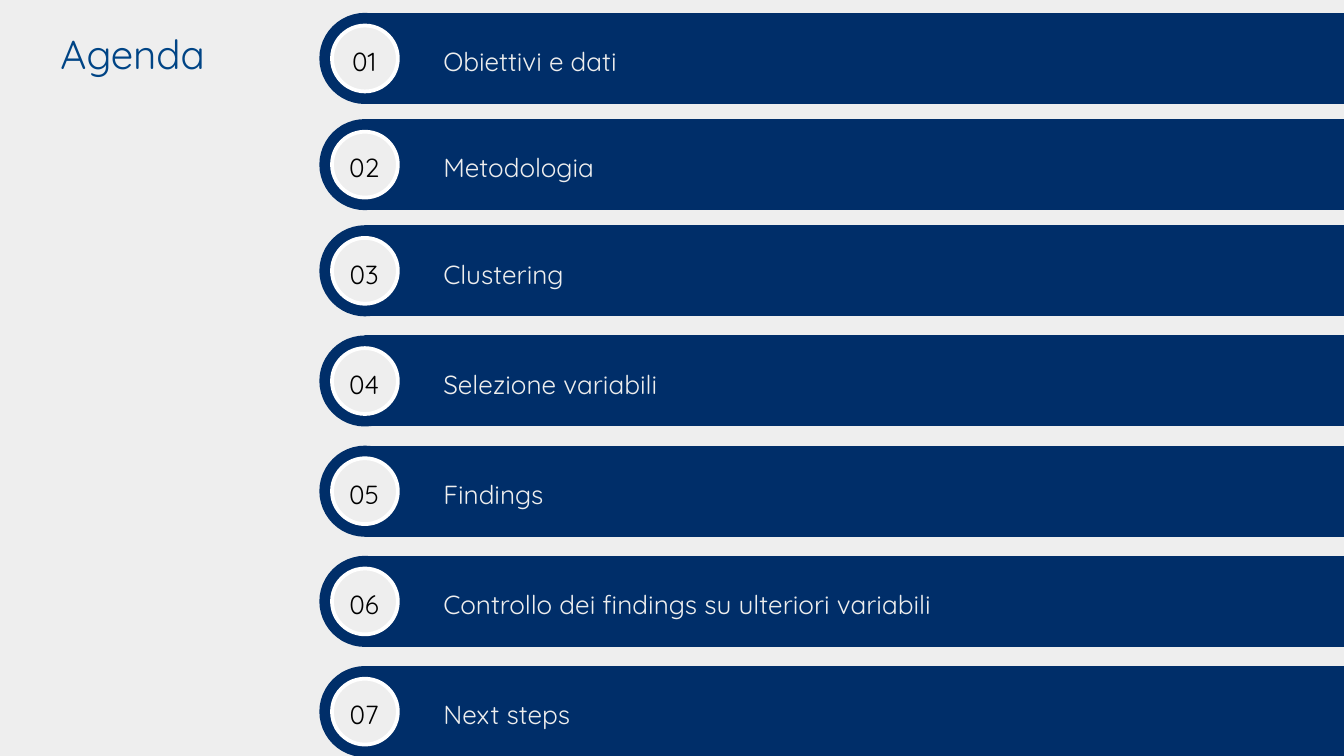
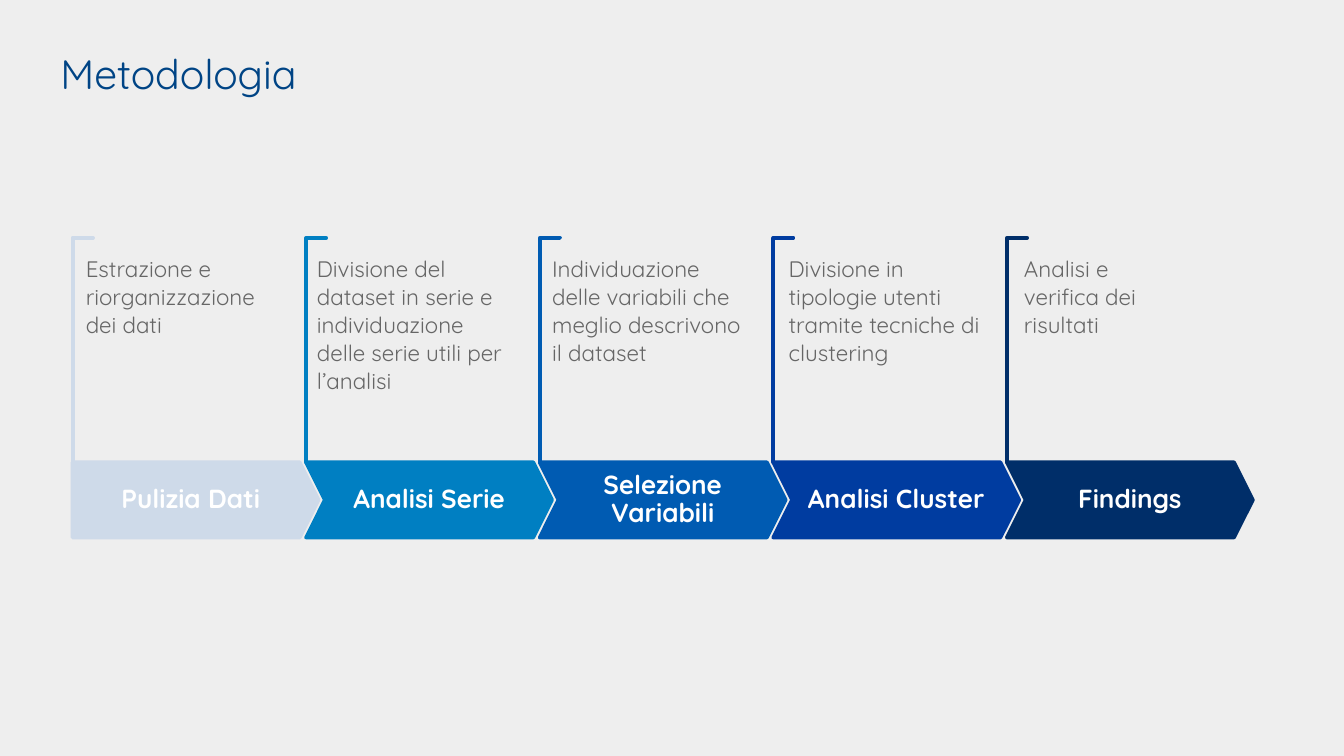
import pptx
import pptx.util
import pptx.dml.color
import pptx.enum.shapes
import pptx.enum.text
import pptx.oxml

SHAPES = pptx.enum.shapes.MSO_SHAPE
ALIGN = pptx.enum.text.PP_ALIGN
ANCHOR = pptx.enum.text.MSO_ANCHOR

FONT = "Quicksand"
BACKGROUND = "EEEEEE"
TITLE_COLOR = "004485"
NAVY = "002E69"
WHITE = "FFFFFF"
BLACK = "000000"
GRAY = "666666"
ROUND_JOIN = '<a:round xmlns:a="http://schemas.openxmlformats.org/drawingml/2006/main"/>'

color = pptx.dml.color.RGBColor.from_string

presentation = pptx.Presentation()
presentation.slide_width = pptx.util.Inches(10)
presentation.slide_height = pptx.util.Inches(5.625)
GRID = presentation.slide_width / 100

background = presentation.slide_master.background.fill
background.solid()
background.fore_color.rgb = color(BACKGROUND)


def add_block(slide, kind, area, fill, line):
    shape = slide.shapes.add_shape(kind, *[round(cells * GRID) for cells in area])
    shape.shadow.inherit = False
    shape.fill.solid()
    shape.fill.fore_color.rgb = color(fill)
    shape.line.color.rgb = color(line)
    shape.line.width = pptx.util.Pt(2)
    shape.line._get_or_add_ln().append(pptx.oxml.parse_xml(ROUND_JOIN))
    return shape


def write(shape, area, text, size, text_color, align=ALIGN.LEFT, anchor=ANCHOR.TOP):
    shape.left, shape.top, shape.width, shape.height = [round(cells * GRID) for cells in area]
    frame = shape.text_frame
    frame.text = text
    frame.word_wrap = True
    frame.auto_size = pptx.enum.text.MSO_AUTO_SIZE.NONE
    frame.vertical_anchor = anchor
    paragraph = frame.paragraphs[0]
    paragraph.alignment = align
    font = paragraph.runs[0].font
    font.name = FONT
    font.size = pptx.util.Pt(size)
    font.color.rgb = color(text_color)
    return paragraph


titles = [("Agenda", 21.6, 1.8), ("Metodologia", 22, 3.3)]
slides = []
for title, size, top in titles:
    slide = presentation.slides.add_slide(presentation.slide_layouts[5])
    write(slide.shapes.title, (3.5, top, 86.2, 4.3), title, size, TITLE_COLOR,
          anchor=ANCHOR.MIDDLE)
    slides.append(slide)
agenda, method = slides

topics = [
    "Obiettivi e dati",
    "Metodologia",
    "Clustering",
    "Selezione variabili",
    "Findings",
    "Controllo dei findings su ulteriori variabili",
    "Next steps",
]
for index, topic in enumerate(topics):
    top = 1.1 + 7.9 * min(index, 2) + 8.2 * max(index - 2, 0)
    add_block(agenda, SHAPES.RECTANGLE, (27.2, top, 72.8, 6.5), NAVY, NAVY)
    add_block(agenda, SHAPES.OVAL, (23.9, top, 6.5, 6.5), NAVY, NAVY)
    add_block(agenda, SHAPES.OVAL, (24.7, top + 0.8, 4.9, 4.9), BACKGROUND, WHITE)
    write(agenda.shapes.add_textbox(0, 0, 0, 0), (24.7, top + 1.8, 4.8, 3.4),
          f"{index + 1:02d}", 14, BLACK, ALIGN.CENTER)
    write(agenda.shapes.add_textbox(0, 0, 0, 0), (32, top + 1.8, 65.7, 3.4),
          topic, 14, BACKGROUND)

steps = [
    ("Pulizia Dati", "CEDAE9", 5.4, "Estrazione e riorganizzazione dei dati"),
    ("Analisi Serie", "007FC2", 22.6,
     "Divisione del dataset in serie e individuazione delle serie utili per l’analisi"),
    ("Selezione Variabili", "005BB2", 40.1,
     "Individuazione delle variabili che meglio descrivono il dataset"),
    ("Analisi Cluster", "003CA0", 57.7,
     "Divisione in tipologie utenti tramite tecniche di clustering"),
    ("Findings", NAVY, 75.2, "Analisi e verifica dei risultati"),
]
for index, (label, step_color, note_left, note) in enumerate(steps):
    left = 5.4 + 17.38 * index
    bracket = add_block(method, SHAPES.CORNER, (left - 7.6, 25.3, 16.7, 1.5),
                        step_color, step_color)
    bracket.rotation = 90
    bracket.adjustments[0] = bracket.adjustments[1] = 0.01

    kind = SHAPES.CHEVRON if index else SHAPES.PENTAGON
    arrow = add_block(method, kind, (left, 34.4, 18.3, 5.6), step_color, step_color)
    arrow.adjustments[0] = 0.25

    label_area = (left + 1.4, 34.4, 15.5, 5.6) if index else (left, 34.4, 17.6, 5.6)
    label_box = method.shapes.add_textbox(0, 0, 0, 0)
    paragraph = write(label_box, label_area, label, 14, WHITE, ALIGN.CENTER, ANCHOR.MIDDLE)
    paragraph.runs[0].font.bold = True
    paragraph.line_spacing = pptx.util.Pt(15) if label == "Selezione Variabili" else 0.9
    label_box.text_frame.margin_top = label_box.text_frame.margin_bottom = round(1.9 * GRID)

    note_width = 13.9 if label == "Findings" else 16.3
    paragraph = write(method.shapes.add_textbox(0, 0, 0, 0),
                      (note_left, 18.4, note_width, 9.5), note, 12, GRAY)
    paragraph.line_spacing = pptx.util.Pt(15)

presentation.save("out.pptx")
